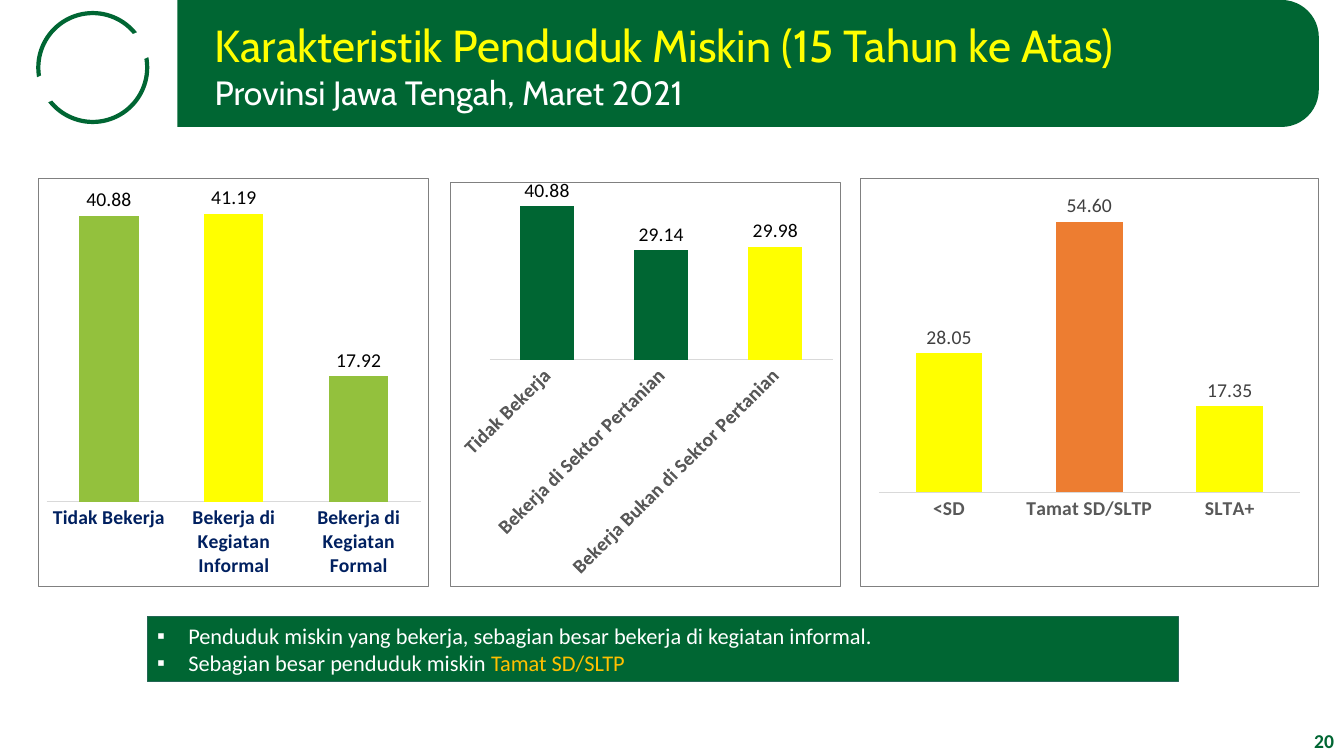
from lxml.etree import SubElement
from pptx import Presentation
from pptx.chart.data import CategoryChartData
from pptx.dml.color import RGBColor
from pptx.enum.chart import XL_CHART_TYPE, XL_LABEL_POSITION, XL_TICK_MARK
from pptx.enum.shapes import MSO_SHAPE
from pptx.enum.text import MSO_ANCHOR, PP_ALIGN
from pptx.oxml import parse_xml
from pptx.oxml.ns import nsdecls, qn
from pptx.util import Inches, Pt

GREEN, YELLOW, WHITE = "006633", "FFFF00", "FFFFFF"


def color(value):
    """Turn a hex string into a colour."""
    return RGBColor.from_string(value)


def place(left, top, width, height):
    """Convert a rectangle in inches to lengths."""
    return [Inches(length) for length in (left, top, width, height)]


def style_font(font, size, tint, bold=False, name="Calibri"):
    """Set the look of a font."""
    font.size, font.bold, font.name = Pt(size), bold, name
    font.color.rgb = color(tint)


def add_block(page, kind, area, fill=None, line=None, weight=0.75, rotation=0):
    """Add a preset shape with optional fill and outline."""
    shape = page.shapes.add_shape(kind, *place(*area))
    shape.shadow.inherit = False
    shape.rotation = rotation
    if fill:
        shape.fill.solid()
        shape.fill.fore_color.rgb = color(fill)
    else:
        shape.fill.background()
    if line:
        shape.line.color.rgb = color(line)
        shape.line.width = Pt(weight)
    else:
        shape.line.fill.background()
    return shape


def add_line(frame, index, spans, size, name="Calibri", bold=False):
    """Write one paragraph made of (text, colour) spans."""
    para = frame.paragraphs[0] if index == 0 else frame.add_paragraph()
    para.alignment = PP_ALIGN.LEFT
    for text, tint in spans:
        span = para.add_run()
        span.text = text
        style_font(span.font, size, tint, bold, name)
    return para


def add_text(page, area):
    """Add a wrapping text box and return its frame."""
    frame = page.shapes.add_textbox(*place(*area)).text_frame
    frame.word_wrap = True
    return frame


def add_bullet(para):
    """Give a paragraph a hanging square bullet."""
    props = para._p.get_or_add_pPr()
    props.set("marL", str(Inches(0.31)))
    props.set("indent", str(-Inches(0.31)))
    SubElement(props, qn("a:buFont"), typeface="Arial")
    SubElement(props, qn("a:buChar"), char="▪")


def add_border(chart):
    """Draw a thin grey frame around a chart."""
    chart._chartSpace.find(qn("c:chart")).addnext(parse_xml(
        f'<c:spPr {nsdecls("c", "a")}><a:noFill/><a:ln w="{Pt(0.75)}">'
        '<a:solidFill><a:srgbClr val="808080"/></a:solidFill></a:ln></c:spPr>'))


def set_plot_area(chart, area):
    """Fix the inner plot area as fractions of the chart."""
    plot_area = chart._chartSpace.find(qn("c:chart")).find(qn("c:plotArea"))
    for old in plot_area.findall(qn("c:layout")):
        plot_area.remove(old)
    layout = parse_xml(f'<c:layout {nsdecls("c")}/>')
    manual = SubElement(layout, qn("c:manualLayout"))
    settings = [("layoutTarget", "inner"), ("xMode", "edge"), ("yMode", "edge")]
    for tag, value in settings + list(zip("xywh", area)):
        SubElement(manual, qn(f"c:{tag}"), val=str(value))
    plot_area.insert(0, layout)


def add_columns(page, area, values, fill, accent, axis_tint, label_tint, angle=0):
    """Add a column chart with one accented column."""
    data = CategoryChartData(number_format="0.00")
    data.categories = list(values)
    data.add_series("Series 1", list(values.values()))
    chart = page.shapes.add_chart(
        XL_CHART_TYPE.COLUMN_CLUSTERED, *place(*area), data).chart
    chart.has_legend = chart.has_title = False
    style_font(chart.font, 10, "000000")
    add_border(chart)

    chart.value_axis.visible = False
    chart.value_axis.has_major_gridlines = False
    chart.value_axis.minimum_scale = 0
    axis = chart.category_axis
    axis.major_tick_mark = axis.minor_tick_mark = XL_TICK_MARK.NONE
    axis.format.line.color.rgb = color("D9D9D9")
    axis.format.line.width = Pt(0.75)
    style_font(axis.tick_labels.font, 14, axis_tint, True)
    body = axis._element.find(qn("c:txPr")).find(qn("a:bodyPr"))
    body.set("rot", str(angle * 60000))
    body.set("vert", "horz")

    plot = chart.plots[0]
    plot.gap_width, plot.overlap, plot.vary_by_categories = 111, -27, False
    series = plot.series[0]
    accent_index, accent_fill = accent
    for part, tint in ((series, fill), (series.points[accent_index], accent_fill)):
        part.format.fill.solid()
        part.format.fill.fore_color.rgb = color(tint)
    labels = series.data_labels
    labels.show_value = True
    labels.position = XL_LABEL_POSITION.OUTSIDE_END
    labels.number_format, labels.number_format_is_linked = "0.00", False
    style_font(labels.font, 14, label_tint)
    return chart


def add_header(page):
    """Draw the banner, the broken ring and the title."""
    banner = add_block(page, MSO_SHAPE.ROUND_2_SAME_RECTANGLE,
                       (6.79, -5.03, 1.26, 11.32), GREEN, rotation=90)
    banner.adjustments[0], banner.adjustments[1] = 0.293, 0
    add_block(page, MSO_SHAPE.OVAL, (0.38, 0.13, 1.08, 1.08), line=GREEN, weight=3)
    add_block(page, MSO_SHAPE.RECTANGLE, (0.16, 0.53, 1.53, 0.27), WHITE,
              rotation=335.7)
    title = add_text(page, (2.03, 0.13, 9.88, 1.04))
    add_line(title, 0, [("Karakteristik Penduduk Miskin (15 Tahun ke Atas)", YELLOW)],
             32, "Cabin")
    add_line(title, 1, [("Provinsi Jawa Tengah, Maret 2021", WHITE)], 24, "Cabin")


def add_charts(page):
    """Place the three charts side by side."""
    top, height = 1.77, 4.05
    add_columns(page, (0.38, top, 3.88, height),
                {"Tidak Bekerja": 40.88, "Bekerja di Kegiatan Informal": 41.19,
                 "Bekerja di Kegiatan Formal": 17.92},
                "93C13D", (1, YELLOW), "002060", "000000")
    add_columns(page, (4.46, top, 3.88, height),
                {"Tidak Bekerja": 40.88, "Bekerja di Sektor Pertanian": 29.14,
                 "Bekerja Bukan di Sektor Pertanian": 29.98},
                GREEN, (2, YELLOW), "595959", "000000", angle=-45)
    education = add_columns(page, (8.53, top, 4.55, height),
                            {"<SD": 28.05, "Tamat SD/SLTP": 54.6, "SLTA+": 17.35},
                            YELLOW, (1, "ED7D31"), "595959", "404040")
    set_plot_area(education, (0.04, 0.04, 0.92, 0.73))


def add_findings(page):
    """Add the bulleted summary bar."""
    bar = add_block(page, MSO_SHAPE.RECTANGLE, (1.46, 6.12, 10.23, 0.64),
                    GREEN, "236654")
    frame = bar.text_frame
    frame.word_wrap = True
    frame.vertical_anchor = MSO_ANCHOR.MIDDLE
    findings = [
        [("Penduduk miskin yang bekerja, sebagian besar bekerja di kegiatan informal.",
          WHITE)],
        [("Sebagian besar penduduk miskin ", WHITE), ("Tamat SD/SLTP", "FFC000")],
    ]
    for index, spans in enumerate(findings):
        add_bullet(add_line(frame, index, spans, 16))


def main():
    """Build the slide and save it."""
    deck = Presentation()
    deck.slide_width, deck.slide_height = Inches(13.33), Inches(7.5)
    page = deck.slides.add_slide(deck.slide_layouts[6])
    add_charts(page)
    add_findings(page)
    add_header(page)
    number = add_text(page, (10.33, 7.13, 3, 0.43))
    number.vertical_anchor = MSO_ANCHOR.MIDDLE
    add_line(number, 0, [("20", GREEN)], 14, bold=True).alignment = PP_ALIGN.RIGHT
    deck.save("out.pptx")


if __name__ == "__main__":
    main()
